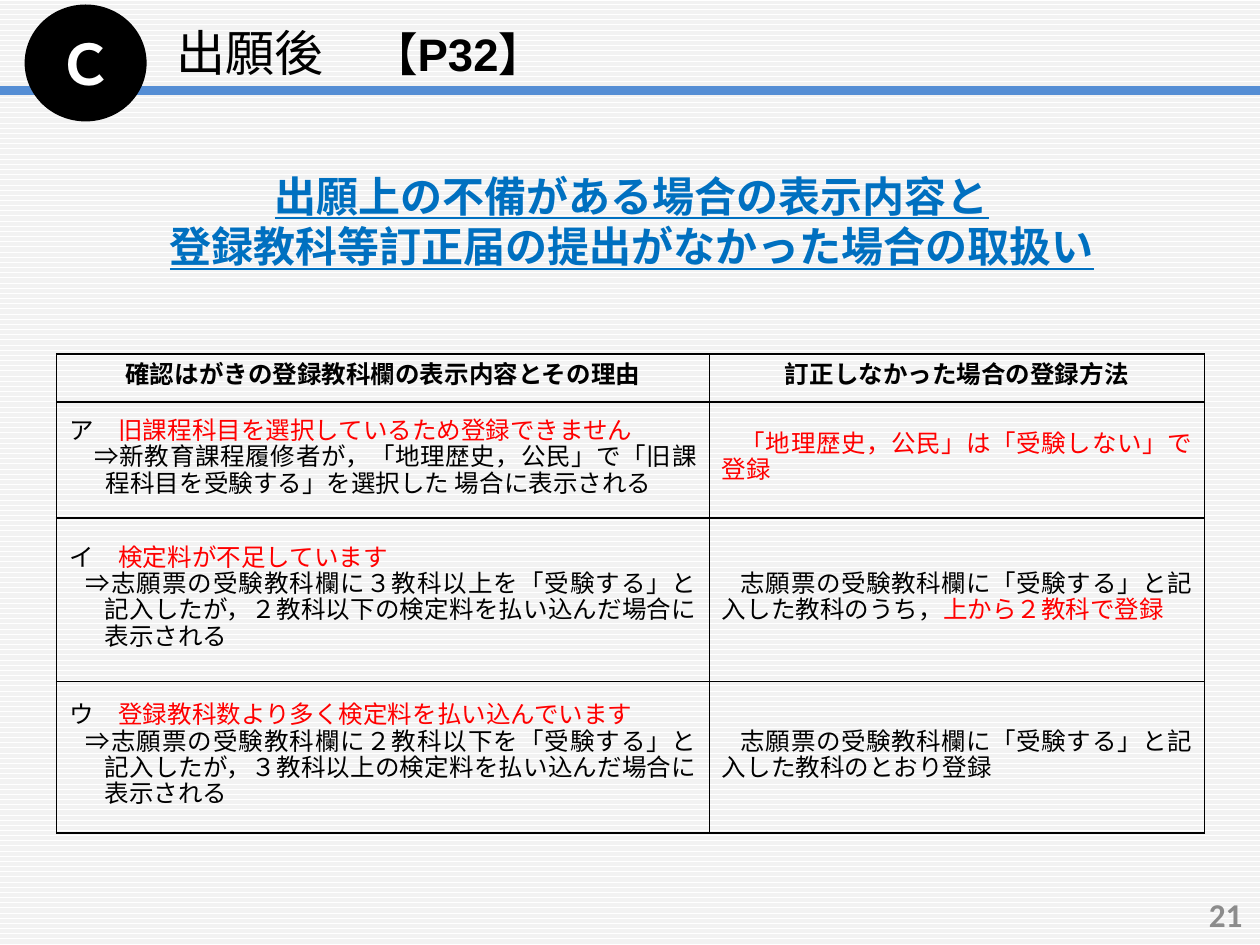
from lxml.etree import SubElement
from pptx import Presentation
from pptx.dml.color import RGBColor
from pptx.enum.dml import MSO_PATTERN
from pptx.enum.shapes import MSO_CONNECTOR, MSO_SHAPE
from pptx.enum.text import MSO_ANCHOR, PP_ALIGN
from pptx.oxml.ns import qn
from pptx.util import Inches, Pt

COLORS = {"black": "000000", "white": "FFFFFF", "red": "FF0000", "heading": "0070C0",
          "rule": "558ED5", "stripe": "F2F2F2", "number": "8C8C8C"}
CJK = "Noto Sans CJK JP"


def color(name):
    return RGBColor.from_string(COLORS[name])


def add_text(paragraph, text, size=14, font="Arial", fill="black", bold=False, underline=False):
    run = paragraph.add_run()
    run.text = text
    run.font.size = Pt(size)
    run.font.name = font
    run.font.bold = bold
    run.font.underline = underline
    run.font.color.rgb = color(fill)
    SubElement(run.font._element, qn("a:ea"), typeface=CJK)


presentation = Presentation()
presentation.slide_width = Inches(10)
presentation.slide_height = Inches(7.5)
slide = presentation.slides.add_slide(presentation.slide_layouts[5])

# Striped background
background = slide.background.fill
background.patterned()
background.pattern = MSO_PATTERN.DARK_HORIZONTAL
background.fore_color.rgb = color("stripe")
background.back_color.rgb = color("white")

# Rule under the title
rule = slide.shapes.add_connector(MSO_CONNECTOR.STRAIGHT, Inches(0), Inches(0.72),
                                  Inches(10), Inches(0.72))
rule.line.color.rgb = color("rule")
rule.line.width = Pt(5)
SubElement(rule._element.spPr, qn("a:effectLst"))

# Title
title = slide.shapes.title
title.left, title.top, title.width, title.height = (
    Inches(1.3), Inches(0.11), Inches(3.5), Inches(0.61))
title.text_frame.word_wrap = False
title.text_frame.vertical_anchor = MSO_ANCHOR.MIDDLE
paragraph = title.text_frame.paragraphs[0]
paragraph.alignment = PP_ALIGN.LEFT
add_text(paragraph, "出願後　", size=28, font=CJK)
add_text(paragraph, "【P32】", size=26, bold=True)

# Section badge
badge = slide.shapes.add_shape(MSO_SHAPE.OVAL, Inches(0.21), Inches(0.05),
                               Inches(0.94), Inches(0.9))
badge.shadow.inherit = False
badge.fill.solid()
badge.fill.fore_color.rgb = color("black")
badge.line.color.rgb = color("black")
badge.line.width = Pt(2)
badge.text_frame.vertical_anchor = MSO_ANCHOR.MIDDLE
paragraph = badge.text_frame.paragraphs[0]
paragraph.alignment = PP_ALIGN.CENTER
add_text(paragraph, "Ｃ", size=32, font=CJK, fill="white", bold=True)

# Heading
heading = slide.shapes.add_shape(MSO_SHAPE.ROUNDED_RECTANGLE, Inches(0.38), Inches(1.3),
                                 Inches(9.27), Inches(0.9))
heading.adjustments[0] = 0
heading.shadow.inherit = False
heading.fill.background()
heading.line.fill.background()
frame = heading.text_frame
frame.vertical_anchor = MSO_ANCHOR.MIDDLE
for index, line in enumerate(["出願上の不備がある場合の表示内容と",
                              "登録教科等訂正届の提出がなかった場合の取扱い"]):
    paragraph = frame.add_paragraph() if index else frame.paragraphs[0]
    paragraph.alignment = PP_ALIGN.CENTER
    add_text(paragraph, line, size=24, fill="heading", bold=True, underline=True)

# Table: a cell is a list of paragraphs (left margin, first-line indent, runs)
HEADERS = ["確認はがきの登録教科欄の表示内容とその理由", "訂正しなかった場合の登録方法"]
ROWS = [
    [[(0.17, -0.17, [("ア　", "black"), ("旧課程科目を選択しているため登録できません", "red")]),
      (0.29, -0.29, [("　⇒新教育課程履修者が，「地理歴史，公民」で「旧課程科目を受験する」を選択した"
                      "\N{NO-BREAK SPACE}場合に表示される", "black")])],
     [(0, 0.15, [("「地理歴史，公民」は「受験しない」で登録", "red")])]],
    [[(0, 0, [("イ　", "black"), ("検定料が不足しています", "red")]),
      (0.28, -0.15, [("⇒志願票の受験教科欄に３教科以上を「受験する」と記入したが，"
                      "２教科以下の検定料を払い込んだ場合に表示される", "black")])],
     [(0, 0.15, [("志願票の受験教科欄に「受験する」と記入した教科のうち，", "black"),
                 ("上から２教科で登録", "red")])]],
    [[(0.17, -0.17, [("ウ　", "black"), ("登録教科数より多く検定料を払い込んでいます", "red")]),
      (0.28, -0.15, [("⇒志願票の受験教科欄に２教科以下を「受験する」と記入したが，"
                      "３教科以上の検定料を払い込んだ場合に表示される", "black")])],
     [(0, 0.15, [("志願票の受験教科欄に「受験する」と記入した教科のとおり登録", "black")])]],
]
header_row = [[(0, 0, [(text, "black")])] for text in HEADERS]
table = slide.shapes.add_table(4, 2, Inches(0.45), Inches(2.81), Inches(9.11), Inches(3.8)).table
table.first_row = False
table.horz_banding = False
for column, width in zip(table.columns, [5.18, 3.93]):
    column.width = Inches(width)
for row, height in zip(table.rows, [0.38, 0.92, 1.3, 1.2]):
    row.height = Inches(height)

for row_index, row in enumerate([header_row] + ROWS):
    is_header = row_index == 0
    for column_index, paragraphs in enumerate(row):
        cell = table.cell(row_index, column_index)
        cell.vertical_anchor = MSO_ANCHOR.MIDDLE
        properties = cell._tc.get_or_add_tcPr()
        for side in ("lnL", "lnR", "lnT", "lnB"):
            border = SubElement(properties, qn(f"a:{side}"), w=str(Pt(1)))
            border_fill = SubElement(border, qn("a:solidFill"))
            SubElement(border_fill, qn("a:srgbClr"), val=COLORS["black"])
        cell.fill.background()
        for index, (margin, indent, runs) in enumerate(paragraphs):
            frame = cell.text_frame
            paragraph = frame.add_paragraph() if index else frame.paragraphs[0]
            paragraph.alignment = PP_ALIGN.CENTER if is_header else PP_ALIGN.JUSTIFY
            paragraph.line_spacing = Pt(15)
            paragraph_properties = paragraph._p.get_or_add_pPr()
            paragraph_properties.set("marL", str(Inches(margin)))
            paragraph_properties.set("indent", str(Inches(indent)))
            for text, fill in runs:
                add_text(paragraph, text, fill=fill, bold=is_header)

# Page number
number = slide.shapes.add_textbox(Inches(7.63), Inches(7.06), Inches(2.33), Inches(0.4))
number.text_frame.word_wrap = True
number.text_frame.vertical_anchor = MSO_ANCHOR.MIDDLE
paragraph = number.text_frame.paragraphs[0]
paragraph.alignment = PP_ALIGN.RIGHT
add_text(paragraph, "21", size=19, font="Calibri", fill="number", bold=True)

presentation.save("out.pptx")
